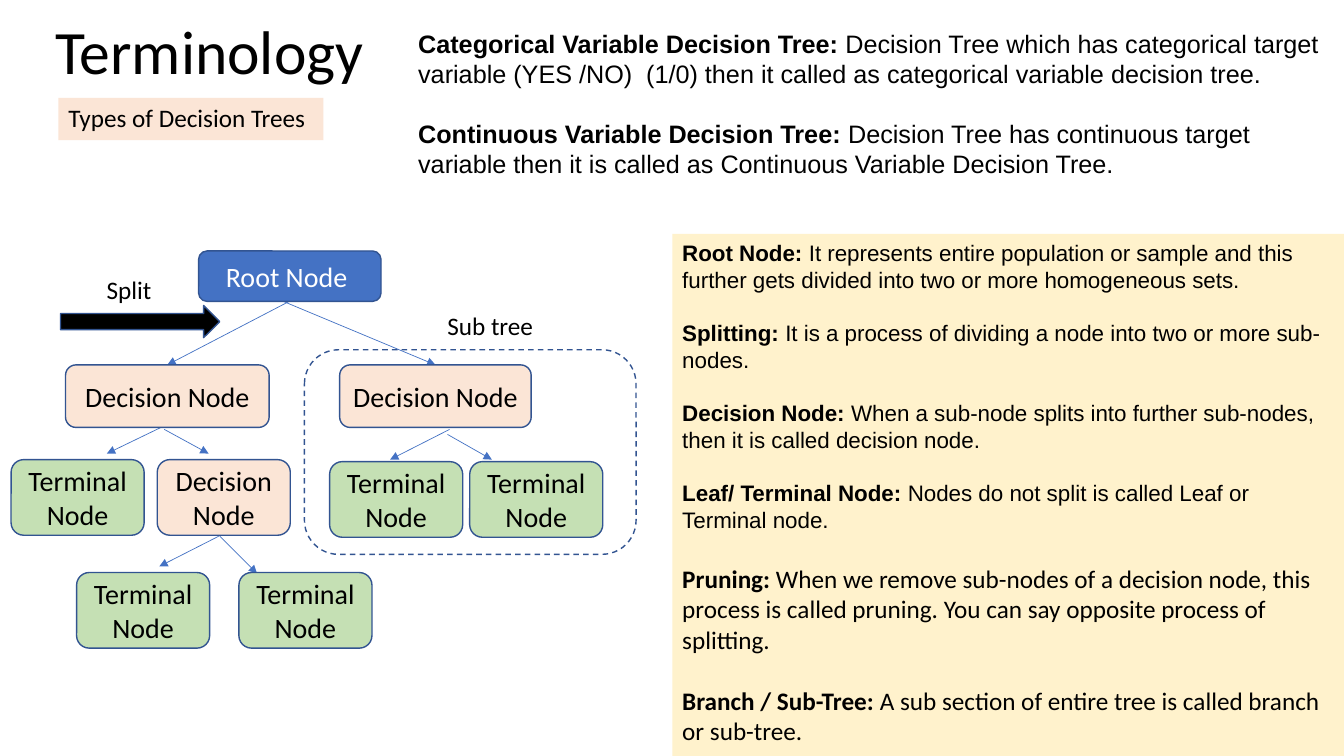
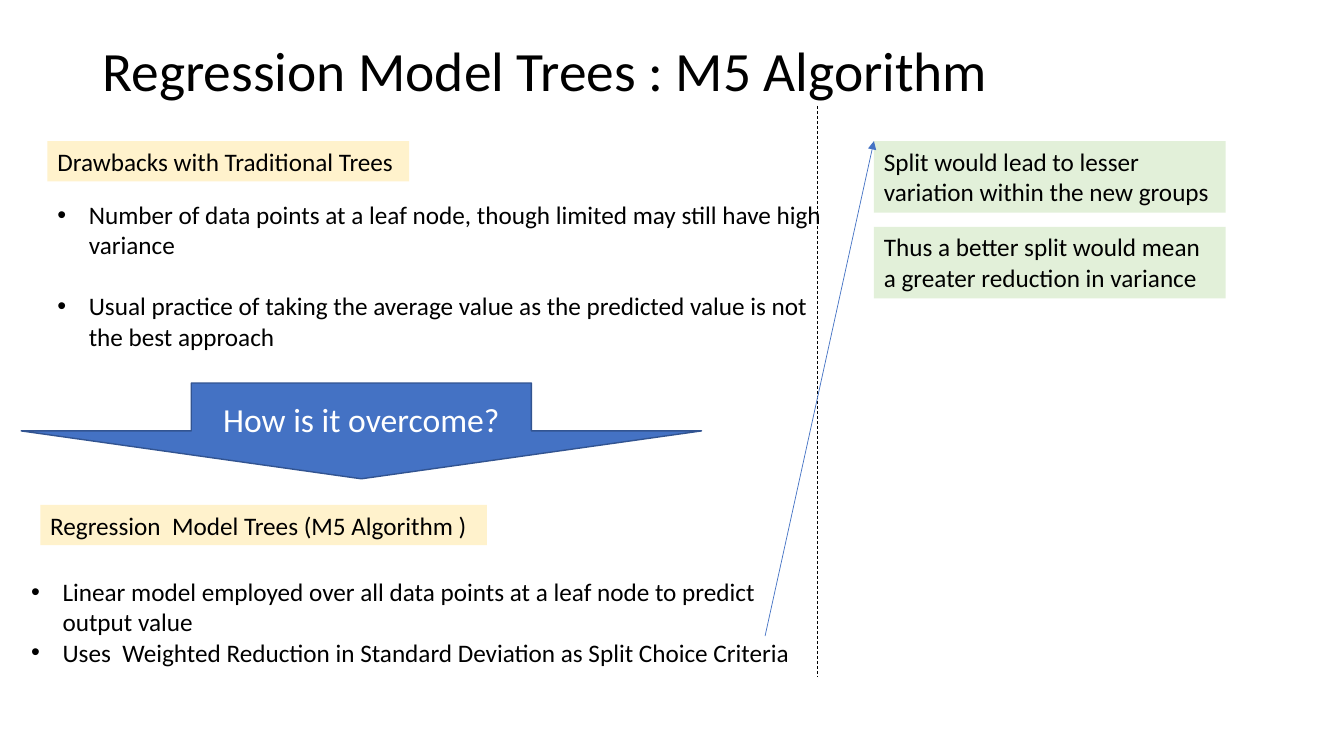
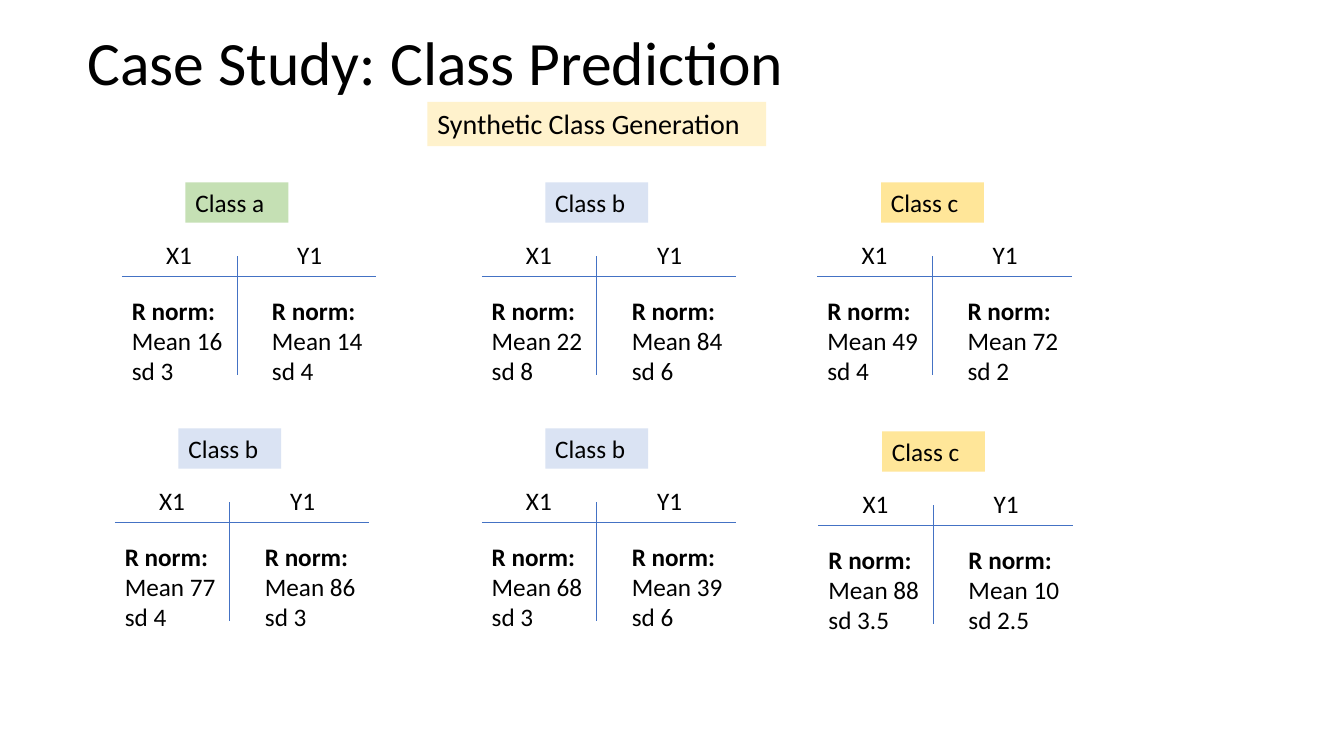
import lxml.etree
import pptx
import pptx.dml.color
import pptx.enum.dml
import pptx.enum.shapes
import pptx.enum.text
import pptx.oxml.ns
import pptx.util

Pt = pptx.util.Pt
rgb = pptx.dml.color.RGBColor.from_string
qn = pptx.oxml.ns.qn
MSO = pptx.enum.shapes.MSO_SHAPE
DASH = pptx.enum.dml.MSO_LINE.DASH
TOP = pptx.enum.text.MSO_ANCHOR.TOP
MIDDLE = pptx.enum.text.MSO_ANCHOR.MIDDLE
CENTER = pptx.enum.text.PP_ALIGN.CENTER

GRID = pptx.util.Inches(0.1)
BLUE, NAVY, BLACK, WHITE = "4472C4", "325491", "000000", "FFFFFF"
PEACH, CREAM, GOLD = "FBE5D6", "FFF2CC", "FFE699"
GREEN, MINT, SKY = "C5E0B4", "E2F0D9", "DAE3F3"


def box(s, at, texts=(), kind=None, fill=None, line=None, dash=None, size=18, name="Calibri",
        color=BLACK, anchor=TOP, align=None, gap=0, spacing=None, bullet=False):
    at = [int(v * GRID) for v in at]
    if kind is None:
        sp = s.shapes.add_textbox(*at)
    else:
        sp = s.shapes.add_shape(kind, *at)
        sp.shadow.inherit = False
        for part, paint in ((sp.fill, fill), (sp.line.fill, line)):
            if paint:
                part.solid()
                part.fore_color.rgb = rgb(paint)
            else:
                part.background()
        if line:
            sp.line.width = Pt(1)
            sp.line.dash_style = dash
    tf = sp.text_frame
    tf.word_wrap = True
    tf.vertical_anchor = anchor
    for i, text in enumerate(texts):
        p = tf.paragraphs[0] if i == 0 else tf.add_paragraph()
        layout = {"alignment": align or pptx.enum.text.PP_ALIGN.LEFT, "line_spacing": spacing,
                  "space_before": Pt(gap if i else 0)}
        for key, value in layout.items():
            setattr(p, key, value)
        if bullet:
            pPr = p._p.get_or_add_pPr()
            pPr.set("marL", "285750")
            pPr.set("indent", "-285750")
            lxml.etree.SubElement(pPr, qn("a:buFont")).set("typeface", "Arial")
            lxml.etree.SubElement(pPr, qn("a:buChar")).set("char", "•")
        head, _, rest = text.rpartition("|")
        for words, bold in ((head, True), (rest, False)):
            if words:
                r = p.add_run()
                r.text = words
                r.font.color.rgb = rgb(color)
                for key, value in {"size": Pt(size), "name": name, "bold": bold}.items():
                    setattr(r.font, key, value)
    return sp


def rule(s, ends, color=BLUE, dash=None, arrow=False):
    c = s.shapes.add_connector(pptx.enum.shapes.MSO_CONNECTOR.STRAIGHT, *[int(v * GRID) for v in ends])
    c.line.color.rgb = rgb(color)
    c.line.width = Pt(0.5)
    c.line.dash_style = dash
    spPr = c._element.spPr
    if arrow:
        lxml.etree.SubElement(spPr.find(qn("a:ln")), qn("a:tailEnd")).set("type", "triangle")
    lxml.etree.SubElement(spPr, qn("a:effectLst"))


prs = pptx.Presentation()
prs.slide_width, prs.slide_height = int(133.33 * GRID), 75 * GRID

slides = []
for title, at, size in [
    ("Terminology", (4.5, 1, 115, 8.8), 44),
    ("Regression Model Trees : M5 Algorithm", (9.2, 4, 115, 6.5), 39.6),
    ("Case Study: Class Prediction", (7.7, 2.7, 115, 7.6), 44),
]:
    s = prs.slides.add_slide(prs.slide_layouts[6])
    box(s, at, [title], size=size, anchor=MIDDLE, spacing=0.9)
    slides.append(s)
terms, m5, study = slides

box(terms, (40.5, 2.3, 92.8, 16.2), [
    "Categorical Variable Decision Tree: |Decision Tree which has categorical target variable (YES /NO)  (1/0) then it called as categorical variable decision tree.",
    "Continuous Variable Decision Tree: |Decision Tree has continuous target variable then it is called as Continuous Variable Decision Tree.",
], name="Arial", gap=21)
box(terms, (5.8, 9.7, 26.3, 4.2), ["Types of Decision Trees"], MSO.RECTANGLE, PEACH)
panel = box(terms, (66.7, 23.2, 66.7, 51.8), [
    "Root Node: |It represents entire population or sample and this further gets divided into two or more homogeneous sets.",
    "Splitting: |It is a process of dividing a node into two or more sub-nodes.",
    "Decision Node: |When a sub-node splits into further sub-nodes, then it is called decision node.",
    "Leaf/ Terminal Node: |Nodes do not split is called Leaf or Terminal node.",
    "Pruning: |When we remove sub-nodes of a decision node, this process is called pruning. You can say opposite process of splitting.",
    "Branch / Sub-Tree: |A sub section of entire tree is called branch or sub-tree.",
], MSO.RECTANGLE, CREAM, size=16, name="Arial", gap=18.8)
for p in panel.text_frame.paragraphs[4:]:
    p.space_before = Pt(22)
    for r in p.runs:
        for key, value in {"size": Pt(18), "name": "Calibri"}.items():
            setattr(r.font, key, value)

for ends in [
    (28.7, 29.9, 16.6, 36.2), (28.1, 29.9, 43.2, 36.2),
    (16.6, 42.1, 10.6, 45), (16.3, 42.6, 20.7, 45),
    (44.6, 42.6, 38.7, 45.6), (44.4, 43.1, 48.8, 45.6),
    (21.7, 53.2, 15.8, 56.2), (21.8, 53.2, 25.5, 56.9),
]:
    rule(terms, ends, arrow=True)

LEAF = (13.2, 7.5)
for text, corner, extent, fill in [
    ("Root Node ", (19.7, 24.9), (18.1, 5), BLUE),
    ("Decision Node", (6.5, 36.2), (20.2, 6.2), PEACH),
    ("Decision Node", (33.7, 36.2), (19, 6.2), PEACH),
    ("Terminal Node", (1.1, 45.6), LEAF, GREEN),
    ("Decision Node", (15.6, 45.6), LEAF, PEACH),
    ("Terminal Node", (32.7, 45.8), LEAF, GREEN),
    ("Terminal Node", (46.6, 45.8), LEAF, GREEN),
    ("Terminal Node", (23.7, 56.8), LEAF, GREEN),
    ("Terminal Node", (7.6, 56.8), LEAF, GREEN),
]:
    box(terms, corner + extent, [text], MSO.ROUNDED_RECTANGLE, fill, NAVY, size=20,
        color=WHITE if fill == BLUE else BLACK, anchor=MIDDLE, align=CENTER)
box(terms, (30.2, 34.7, 32.9, 20.3), kind=MSO.ROUNDED_RECTANGLE, line=NAVY, dash=DASH)
box(terms, (6, 30.3, 15.8, 3.2), kind=MSO.RIGHT_ARROW, fill=BLACK, line=NAVY)
box(terms, (9.6, 26.7, 7.2, 4), ["Split"])
box(terms, (43.4, 30.3, 11.3, 4), ["Sub tree"])

for text, at, fill in [
    ("Drawbacks with Traditional Trees", (4.7, 14, 35.9, 4), CREAM),
    ("Regression  Model Trees (M5 Algorithm )", (4, 50.1, 44.3, 4), CREAM),
    ("Split would lead to lesser variation within the new groups", (86.7, 14, 34.9, 7.1), MINT),
    ("Thus a better split would mean a greater reduction in variance", (86.7, 22.5, 34.9, 7.1), MINT),
]:
    box(m5, at, [text], MSO.RECTANGLE, fill)
box(m5, (4.7, 19.3, 77.9, 16.2), [
    "Number of data points at a leaf node, though limited may still have high variance",
    "Usual practice of taking the average value as the predicted value is not the best approach",
], gap=22, bullet=True)
box(m5, (2.1, 38, 67.5, 9.5), ["How is it overcome?"], MSO.DOWN_ARROW, BLUE, NAVY,
    size=24, color=WHITE, anchor=MIDDLE, align=CENTER)
box(m5, (2.1, 56.7, 77.9, 10.1), [
    "Linear model employed over all data points at a leaf node to predict output value",
    "Uses  Weighted Reduction in Standard Deviation as Split Choice Criteria",
], bullet=True)
rule(m5, (81.1, 10.5, 81.1, 67.2), BLACK, DASH)
rule(m5, (75.9, 63.1, 86.7, 14), arrow=True)

box(study, (42.4, 10.1, 33.6, 4.4), ["Synthetic Class Generation"], MSO.RECTANGLE, CREAM, size=20)
fills = {"a": GREEN, "b": SKY, "c": GOLD}
for x, y, letter, *norms in [
    (12.1, 18.1, "a", (16, 3), (14, 4)),
    (47.8, 18.1, "b", (22, 8), (84, 6)),
    (81.1, 18.1, "c", (49, 4), (72, 2)),
    (11.4, 42.5, "b", (77, 4), (86, 3)),
    (47.8, 42.5, "b", (68, 3), (39, 6)),
    (81.2, 42.8, "c", (88, 3.5), (10, 2.5)),
]:
    box(study, (x + 6.3, y, 10.2, 4), [f"Class {letter}"], MSO.RECTANGLE, fills[letter])
    for i, (mean, sd) in enumerate(norms):
        box(study, (x + 3.4 + 13 * i, y + 5.2, 5.6, 4), ["XY"[i] + "1"])
        box(study, (x + 13.9 * i, y + 10.7, 11.4, 10.1), ["R norm:|", f"Mean {mean}", f"sd {sd}"])
    rule(study, (x, y + 9.3, x + 25.2, y + 9.3))
    rule(study, (x + 11.4, y + 19.1, x + 11.4, y + 7.3))

prs.save("out.pptx")
